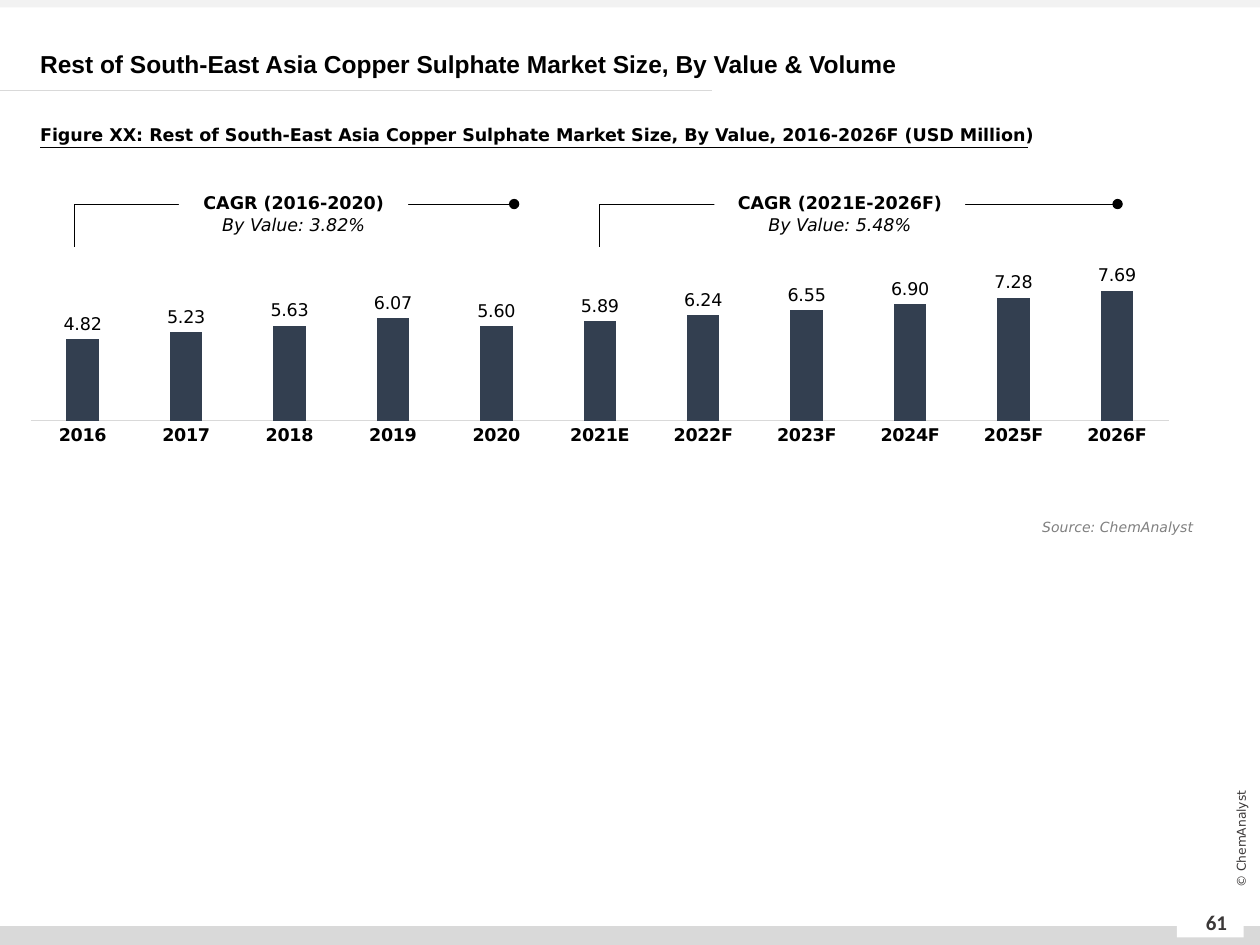
import pptx
import pptx.chart.data
import pptx.dml.color
import pptx.enum.chart
import pptx.enum.shapes
import pptx.enum.text
import pptx.oxml
import pptx.oxml.ns
import pptx.util
from pptx.util import Inches

COLORS = {
    "black": "000000",
    "white": "FFFFFF",
    "bar": "333F50",
    "rule": "D9D9D9",
    "band": "F2F2F2",
    "dark": "3B3838",
    "source": "808080",
}
BODY_FONT = "DejaVu Sans"
ALIGN = pptx.enum.text.PP_ALIGN
ANCHOR = pptx.enum.text.MSO_ANCHOR
CONNECTOR = pptx.enum.shapes.MSO_CONNECTOR

YEARS = ["2016", "2017", "2018", "2019", "2020", "2021E",
         "2022F", "2023F", "2024F", "2025F", "2026F"]
VALUES = [4.82, 5.23, 5.63, 6.07, 5.60, 5.89, 6.24, 6.55, 6.90, 7.28, 7.69]


def rgb(name):
    return pptx.dml.color.RGBColor.from_string(COLORS[name])


def add_xml(parent, tag, **attributes):
    child = pptx.oxml.parse_xml(f"<{tag} {pptx.oxml.ns.nsdecls(tag.split(':')[0])}/>")
    for name, value in attributes.items():
        child.set(name, str(value))
    parent.append(child)
    return child


def style_font(font, size=10, color="black", name=BODY_FONT, bold=False, italic=False):
    font.size = pptx.util.Pt(size)
    font.name = name
    font.bold = bold
    font.italic = italic
    font.color.rgb = rgb(color)


def write_paragraph(para, text, align=ALIGN.LEFT, spacing=None, **style):
    para.alignment = align
    if spacing:
        para.line_spacing = spacing
    span = para.add_run()
    span.text = text
    style_font(span.font, **style)


def add_text(shapes, text, left, top, width, height, anchor=ANCHOR.TOP,
             rotation=0, **style):
    box = shapes.add_textbox(Inches(left), Inches(top), Inches(width), Inches(height))
    box.rotation = rotation
    frame = box.text_frame
    frame.word_wrap = True
    frame.vertical_anchor = anchor
    write_paragraph(frame.paragraphs[0], text, **style)


def add_block(shapes, left, top, width, height, color):
    block = shapes.add_shape(pptx.enum.shapes.MSO_SHAPE.RECTANGLE, Inches(left),
                             Inches(top), Inches(width), Inches(height))
    block.shadow.inherit = False
    block.fill.solid()
    block.fill.fore_color.rgb = rgb(color)
    block.line.fill.background()
    return block


def add_line(shapes, start, end, color="black", kind=CONNECTOR.STRAIGHT):
    line = shapes.add_connector(kind, *map(Inches, start + end))
    line.line.color.rgb = rgb(color)
    line.line.width = pptx.util.Pt(0.5)
    add_xml(line._element.spPr, "a:effectLst")
    return line


def add_growth_bracket(shapes, start, end, label_left, label_width, period, rate):
    group = shapes.add_group_shape().shapes

    # Line that rises at the first year and ends in a dot at the last
    bracket = add_line(group, (start, 1.96), (end, 1.62), kind=CONNECTOR.ELBOW)
    guides = bracket._element.spPr.prstGeom.get_or_add_avLst()
    add_xml(guides, "a:gd", name="adj1", fmla="val 0")
    add_xml(bracket.line._get_or_add_ln(), "a:tailEnd", type="oval")

    # Label that interrupts the line
    label = add_block(group, label_left, 1.41, label_width, 0.57, "white")
    frame = label.text_frame
    frame.word_wrap = True
    frame.vertical_anchor = ANCHOR.MIDDLE
    write_paragraph(frame.paragraphs[0], f"CAGR ({period})", align=ALIGN.CENTER, bold=True)
    write_paragraph(frame.add_paragraph(), f"By Value: {rate}", align=ALIGN.CENTER,
                    italic=True)


def set_plot_layout(chart, x, y, w, h):
    plot_area = chart._chartSpace.chart.plotArea
    for old in plot_area.findall(pptx.oxml.ns.qn("c:layout")):
        plot_area.remove(old)
    layout = add_xml(plot_area, "c:layout")
    plot_area.insert(0, layout)
    manual = add_xml(layout, "c:manualLayout")
    add_xml(manual, "c:layoutTarget", val="inner")
    add_xml(manual, "c:xMode", val="edge")
    add_xml(manual, "c:yMode", val="edge")
    for tag, value in zip("xywh", (x, y, w, h)):
        add_xml(manual, f"c:{tag}", val=value)


def add_value_chart(shapes):
    data = pptx.chart.data.CategoryChartData(number_format="0.00")
    data.categories = YEARS
    data.add_series("Series 1", VALUES)
    chart = shapes.add_chart(pptx.enum.chart.XL_CHART_TYPE.COLUMN_CLUSTERED,
                             Inches(0.24), Inches(1.8), Inches(9.04), Inches(2.08),
                             data).chart
    chart.has_title = False
    chart.has_legend = False
    style_font(chart.font)
    set_plot_layout(chart, 0, 0.16, 1, 0.58)

    # Axes
    years = chart.category_axis
    years.major_tick_mark = pptx.enum.chart.XL_TICK_MARK.NONE
    years.format.line.color.rgb = rgb("rule")
    years.format.line.width = pptx.util.Pt(0.75)
    style_font(years.tick_labels.font, bold=True)
    values = chart.value_axis
    values.visible = False
    values.has_major_gridlines = False
    values.minimum_scale = 0
    values.maximum_scale = 9

    # Columns and their labels
    plot = chart.plots[0]
    plot.vary_by_categories = False
    plot.gap_width = 219
    plot.overlap = -27
    fill = plot.series[0].format.fill
    fill.solid()
    fill.fore_color.rgb = rgb("bar")
    plot.has_data_labels = True
    labels = plot.data_labels
    labels.show_value = True
    labels.position = pptx.enum.chart.XL_LABEL_POSITION.OUTSIDE_END
    labels.number_format = "0.00"
    labels.number_format_is_linked = False
    style_font(labels.font)


def add_page_frame(shapes):
    add_block(shapes, 0, 7.35, 10, 0.15, "rule")
    add_block(shapes, 0, 0, 10, 0.06, "band")
    add_block(shapes, 9.34, 7.22, 0.53, 0.22, "white")
    add_line(shapes, (0, 0.72), (5.65, 0.72), color="rule")
    add_text(shapes, "61", 9.41, 7.12, 0.49, 0.4, anchor=ANCHOR.MIDDLE,
             align=ALIGN.CENTER, size=12, name="Calibri", color="dark", bold=True)
    add_text(shapes, "© ChemAnalyst", 9.25, 6.58, 1.2, 0.16, anchor=ANCHOR.MIDDLE,
             rotation=270, align=ALIGN.CENTER, size=7, color="dark")


def main():
    deck = pptx.Presentation()
    deck.slide_width, deck.slide_height = Inches(10), Inches(7.5)
    page = deck.slides.add_slide(deck.slide_layouts[6])
    shapes = page.shapes

    add_page_frame(shapes)

    # Title and figure caption
    add_text(shapes, "Rest of South-East Asia Copper Sulphate Market Size, By Value & Volume",
             0.22, 0.34, 9.76, 0.32, anchor=ANCHOR.MIDDLE, spacing=pptx.util.Pt(17),
             size=14, name="Arial", bold=True)
    add_text(shapes, "Figure XX: Rest of South-East Asia Copper Sulphate Market Size, "
             "By Value, 2016-2026F (USD Million)",
             0.22, 0.85, 8.82, 0.32, spacing=1.5, bold=True)
    add_line(shapes, (0.32, 1.17), (8.16, 1.17))

    # Chart with its growth rates
    add_value_chart(shapes)
    add_growth_bracket(shapes, 4.76, 8.87, 5.67, 1.99, "2021E-2026F", "5.48%")
    add_growth_bracket(shapes, 0.59, 4.08, 1.42, 1.82, "2016-2020", "3.82%")
    add_text(shapes, "Source: ChemAnalyst", 7.16, 4.07, 2.41, 0.24,
             align=ALIGN.RIGHT, size=8, color="source", italic=True)

    deck.save("out.pptx")


if __name__ == "__main__":
    main()
